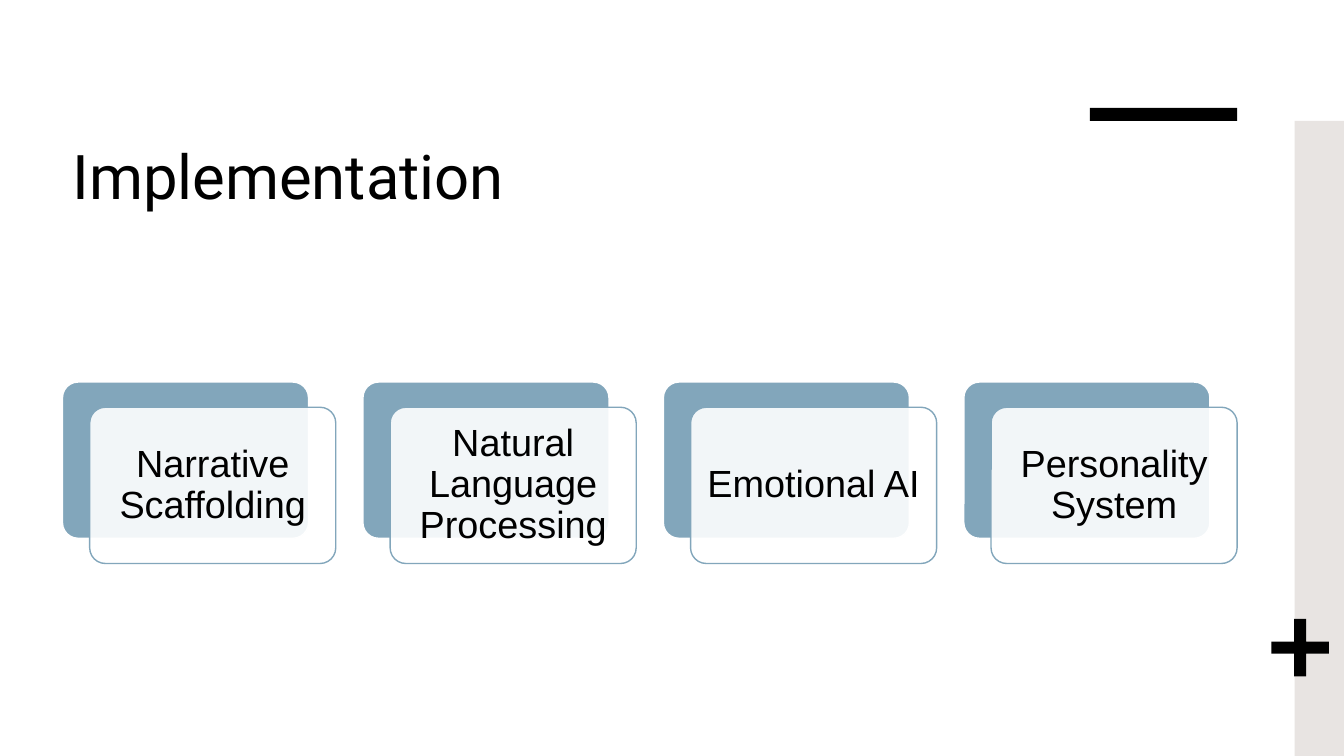
"""Build the Implementation slide with its four component cards."""
import pptx
import pptx.dml.color
import pptx.enum.shapes
import pptx.enum.text
import pptx.oxml.ns
import pptx.util
from lxml import etree

Inches = pptx.util.Inches
Pt = pptx.util.Pt
SHAPES = pptx.enum.shapes.MSO_SHAPE

COLORS = {"black": "000000", "white": "FFFFFF", "blue": "82A6BB", "sand": "E8E4E2"}
COMPONENTS = [
    "Narrative Scaffolding",
    "Natural Language Processing",
    "Emotional AI",
    "Personality System",
]
CARD_LEFT, CARD_TOP, CARD_PITCH = 0.62, 3.79, 2.98
CARD_WIDTH, CARD_HEIGHT = 2.44, 1.55
OFFSET_X, OFFSET_Y = 0.27, 0.25


def rgb(name):
    """Return the palette colour called name."""
    return pptx.dml.color.RGBColor.from_string(COLORS[name])


def add_block(slide, kind, box, fill, line=None, adjust=None, opacity=None):
    """Add a preset shape with a flat fill and an optional outline."""
    block = slide.shapes.add_shape(kind, *[Inches(value) for value in box])
    block.shadow.inherit = False
    block.fill.solid()
    block.fill.fore_color.rgb = rgb(fill)
    if opacity is not None:
        tint = block.fill._xPr.find(".//" + pptx.oxml.ns.qn("a:srgbClr"))
        etree.SubElement(tint, pptx.oxml.ns.qn("a:alpha"), val=str(opacity * 1000))
    if line:
        block.line.color.rgb = rgb(line)
        block.line.width = Pt(1)
    else:
        block.line.fill.background()
    if adjust is not None:
        block.adjustments[0] = adjust
    return block


def write_text(frame, text, font, size):
    """Write one black run into the first paragraph and return the paragraph."""
    frame.word_wrap = True
    paragraph = frame.paragraphs[0]
    run = paragraph.add_run()
    run.text = text
    run.font.name = font
    run.font.size = Pt(size)
    run.font.color.rgb = rgb("black")
    return paragraph


def add_title(slide, text):
    """Add the slide heading."""
    heading = slide.shapes.add_textbox(Inches(0.62), Inches(1.32), Inches(9.04), Inches(1.58))
    write_text(heading.text_frame, text, "Roboto", 44)


def add_decoration(slide):
    """Add the side band, the accent bar and the plus sign."""
    add_block(slide, SHAPES.RECTANGLE, (12.84, 1.2, 0.5, 6.3), "sand")
    add_block(slide, SHAPES.RECTANGLE, (10.81, 1.07, 1.46, 0.13), "black")
    add_block(slide, SHAPES.CROSS, (12.61, 6.14, 0.57, 0.57), "black", adjust=0.395)


def add_card(slide, left, label):
    """Add a blue backing with a translucent labelled card in front of it."""
    size = (CARD_WIDTH, CARD_HEIGHT)
    add_block(slide, SHAPES.ROUNDED_RECTANGLE, (left, CARD_TOP, *size), "blue", "white", 0.1)
    front = add_block(slide, SHAPES.ROUNDED_RECTANGLE,
                      (left + OFFSET_X, CARD_TOP + OFFSET_Y, *size),
                      "white", "blue", 0.1, opacity=90)
    frame = front.text_frame
    frame.margin_left = frame.margin_right = Inches(0.11)
    frame.margin_top = frame.margin_bottom = Inches(0.11)
    frame.vertical_anchor = pptx.enum.text.MSO_ANCHOR.MIDDLE
    paragraph = write_text(frame, label, "Arial", 27)
    paragraph.alignment = pptx.enum.text.PP_ALIGN.CENTER
    paragraph.line_spacing = 0.9


def main():
    """Assemble and save the slide."""
    deck = pptx.Presentation()
    deck.slide_width, deck.slide_height = Inches(13.33), Inches(7.5)
    slide = deck.slides.add_slide(deck.slide_layouts[6])
    slide.background.fill.solid()
    slide.background.fill.fore_color.rgb = rgb("white")
    add_title(slide, "Implementation")
    add_decoration(slide)
    for index, label in enumerate(COMPONENTS):
        add_card(slide, CARD_LEFT + index * CARD_PITCH, label)
    deck.save("out.pptx")


if __name__ == "__main__":
    main()
